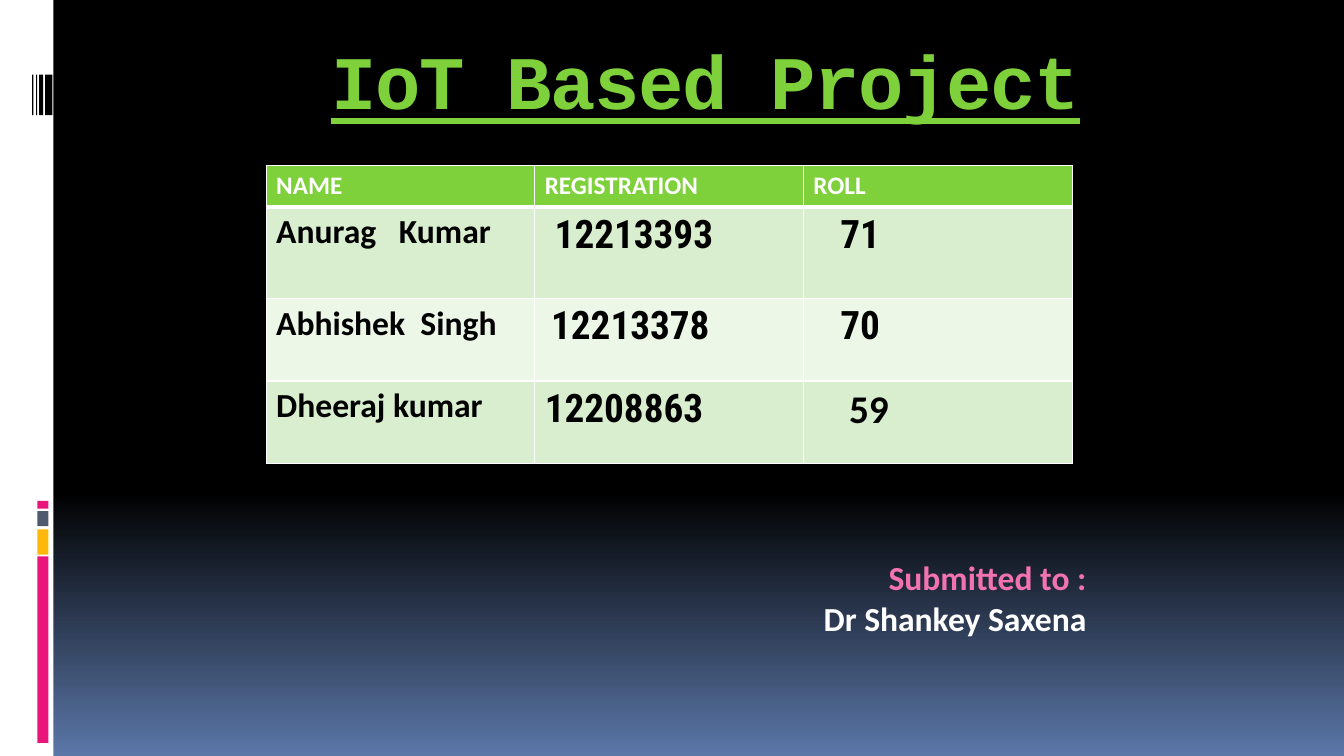
import copy
from dataclasses import dataclass

import pptx
import pptx.dml.color
import pptx.enum.shapes
import pptx.enum.text
import pptx.oxml
import pptx.oxml.ns
import pptx.util

Cm = pptx.util.Cm
ALIGN = pptx.enum.text.PP_ALIGN

COLOURS = {
    "black": "000000",
    "white": "FFFFFF",
    "blue": "5B77A8",
    "slate": "4E5B6F",
    "pink": "EA157A",
    "rose": "F273AF",
    "amber": "FEB80A",
    "green": "7FD13B",
    "band": "D8EECE",
    "pale": "ECF7E8",
}
CELL_MARGIN = 0.25
COLUMN_WIDTH = 6.77
ROW_HEIGHTS = (1.04, 2.31, 2.08, 2.08)
ROW_FILLS = ("green", "band", "pale", "band")


@dataclass(frozen=True)
class Bar:
    left: float
    top: float
    width: float
    height: float
    colour: str


@dataclass(frozen=True)
class Style:
    size: int
    colour: str
    font: str = "Calibri"
    underline: bool = False
    spacing: float = 0


@dataclass(frozen=True)
class Entry:
    """A table cell; word_gap is extra space between its words, in points."""
    text: str
    style: Style
    indent: float = 0
    word_gap: float = 0


BARS = [
    Bar(0, 0, 1.35, 19.05, "white"),
    Bar(0.94, 14.02, 0.28, 4.7, "pink"),
    Bar(0.94, 13.34, 0.28, 0.64, "amber"),
    Bar(0.94, 12.88, 0.28, 0.38, "slate"),
    Bar(0.94, 12.62, 0.28, 0.2, "pink"),
] + [
    Bar(left, 1.88, width, 1.02, "black")
    for left, width in ((1.14, 0.18), (0.99, 0.1), (0.91, 0.03), (0.81, 0.03))
]

TITLE = Style(54, "green", "Courier New", underline=True, spacing=-1)
HEADING = Style(18, "white")
NAME = Style(24, "black")
NUMBER = Style(28, "black", "Roboto Condensed")
PLAIN_NUMBER = Style(28, "black")

ENTRIES = [
    [Entry("NAME", HEADING), Entry("REGISTRATION", HEADING), Entry("ROLL", HEADING)],
    [Entry("Anurag Kumar", NAME, word_gap=10.8),
     Entry("12213393", NUMBER, 0.25), Entry("71", NUMBER, 0.68)],
    [Entry("Abhishek Singh", NAME, word_gap=5.4),
     Entry("12213378", NUMBER, 0.16), Entry("70", NUMBER, 0.68)],
    [Entry("Dheeraj kumar", NAME),
     Entry("12208863", NUMBER), Entry("59", PLAIN_NUMBER, 0.9)],
]


def rgb(name: str) -> pptx.dml.color.RGBColor:
    return pptx.dml.color.RGBColor.from_string(COLOURS[name])


def add_span(para, text: str, style: Style, spacing: float = 0) -> None:
    span = para.add_run()
    span.text = text
    span.font.name = style.font
    span.font.size = pptx.util.Pt(style.size)
    span.font.bold = True
    span.font.underline = style.underline
    span.font.color.rgb = rgb(style.colour)
    if spacing:
        span.font._element.set("spc", str(round(spacing * 100)))


def paint_background(page) -> None:
    fill = page.background.fill
    fill.gradient()
    fill.gradient_angle = 270
    stop_list = page._element.xpath(".//a:gsLst")[0]
    stop_list.append(copy.deepcopy(stop_list[-1]))
    stops = ((0, "black"), (0.65, "black"), (1, "blue"))
    for stop, (position, colour) in zip(fill.gradient_stops, stops):
        stop.position = position
        stop.color.rgb = rgb(colour)


def add_bar(page, bar: Bar) -> None:
    box = page.shapes.add_shape(
        pptx.enum.shapes.MSO_SHAPE.RECTANGLE,
        Cm(bar.left), Cm(bar.top), Cm(bar.width), Cm(bar.height))
    box.shadow.inherit = False
    box.fill.solid()
    box.fill.fore_color.rgb = rgb(bar.colour)
    box.line.fill.background()


def add_text(page, left: float, top: float, width: float, height: float,
             lines: list[tuple[str, Style]], align) -> None:
    box = page.shapes.add_textbox(Cm(left), Cm(top), Cm(width), Cm(height))
    frame = box.text_frame
    frame.word_wrap = True
    for index, (text, style) in enumerate(lines):
        para = frame.add_paragraph() if index else frame.paragraphs[0]
        para.alignment = align
        add_span(para, text, style, style.spacing)


def add_borders(cell, top: int, bottom: int) -> None:
    """Draw white cell borders; top and bottom are widths in points."""
    properties = cell._tc.get_or_add_tcPr()
    for side, width in (("L", 1), ("R", 1), ("T", top), ("B", bottom)):
        properties.append(pptx.oxml.parse_xml(
            f'<a:ln{side} {pptx.oxml.ns.nsdecls("a")} w="{pptx.util.Pt(width)}">'
            f'<a:solidFill><a:srgbClr val="{COLOURS["white"]}"/></a:solidFill>'
            f'</a:ln{side}>'))


def fill_cell(cell, entry: Entry, colour: str) -> None:
    cell.fill.solid()
    cell.fill.fore_color.rgb = rgb(colour)
    cell.margin_left = Cm(CELL_MARGIN + entry.indent)
    para = cell.text_frame.paragraphs[0]
    if entry.word_gap:
        first, last = entry.text.split(" ")
        add_span(para, first, entry.style)
        add_span(para, " ", entry.style, entry.word_gap)
        add_span(para, last, entry.style)
    else:
        add_span(para, entry.text, entry.style)


def add_students(page) -> None:
    columns = len(ENTRIES[0])
    table = page.shapes.add_table(
        len(ENTRIES), columns, Cm(6.71), Cm(4.17),
        Cm(COLUMN_WIDTH * columns), Cm(sum(ROW_HEIGHTS))).table
    table.horz_banding = False
    for column in table.columns:
        column.width = Cm(COLUMN_WIDTH)
    for index, entries in enumerate(ENTRIES):
        table.rows[index].height = Cm(ROW_HEIGHTS[index])
        for position, entry in enumerate(entries):
            cell = table.cell(index, position)
            add_borders(cell, top=3 if index == 1 else 1,
                        bottom=3 if index == 0 else 1)
            fill_cell(cell, entry, ROW_FILLS[index])


def main() -> None:
    deck = pptx.Presentation()
    deck.slide_width = Cm(33.87)
    deck.slide_height = Cm(19.05)
    page = deck.slides.add_slide(deck.slide_layouts[6])
    paint_background(page)
    for bar in BARS:
        add_bar(page, bar)
    add_text(page, 2.54, 0.73, 30.48, 3.23,
             [("IoT Based Project", TITLE)], ALIGN.CENTER)
    add_students(page)
    add_text(page, 19.15, 13.92, 8.48, 3.07,
             [("Submitted to :", Style(24, "rose")),
              ("Dr Shankey Saxena", Style(24, "white"))], ALIGN.RIGHT)
    deck.save("out.pptx")


if __name__ == "__main__":
    main()
